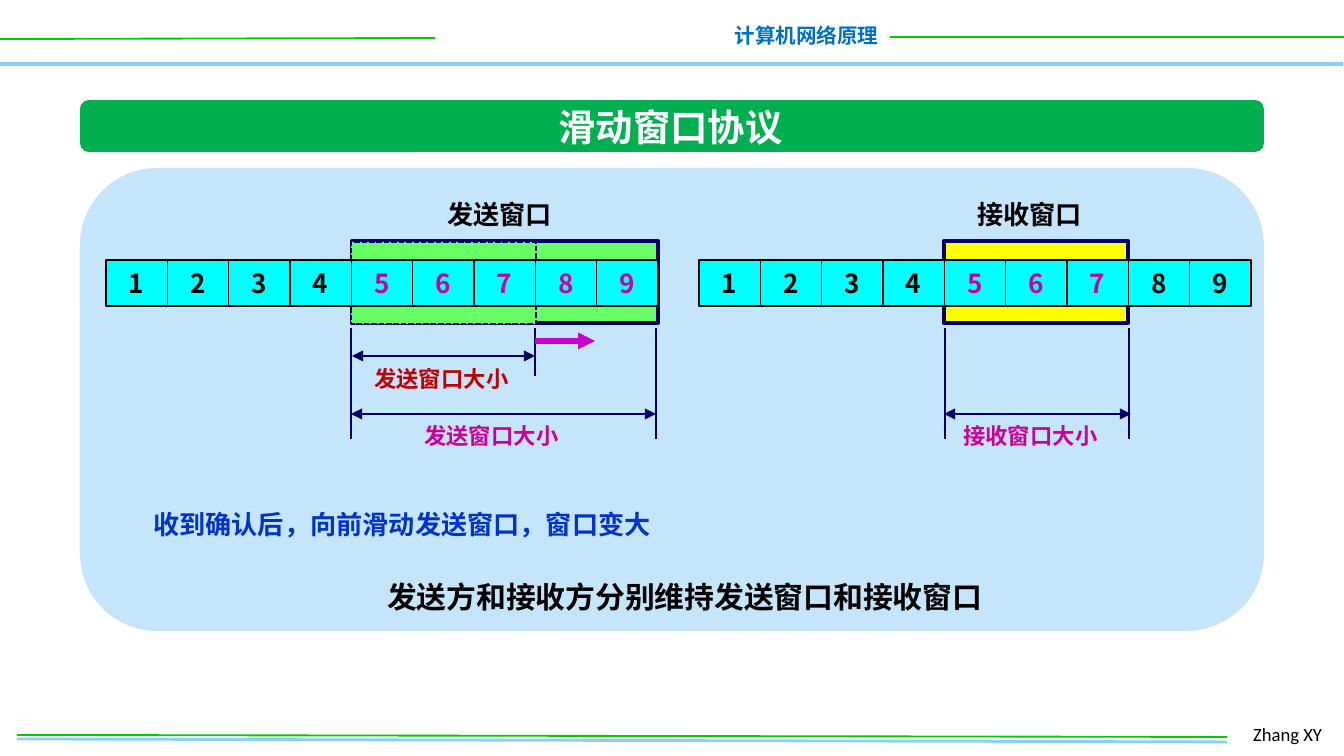
from lxml.etree import SubElement
from pptx import Presentation
from pptx.dml.color import RGBColor
from pptx.enum.dml import MSO_LINE
from pptx.enum.shapes import MSO_CONNECTOR, MSO_SHAPE
from pptx.enum.text import MSO_ANCHOR, PP_ALIGN
from pptx.oxml.ns import qn
from pptx.util import Emu, Pt

EMU_PER_PX = 914400 / 134.4
CJK = "Noto Sans CJK SC"
NAVY, BLACK, MAGENTA = "000066", "000000", "CC0099"
GREEN, SKY = "00CC00", "85D1F7"
STRIP_W, STRIP_H, CELLS = 552, 46, 9
STRIP_Y = 260


def px(n):
    return Emu(round(n * EMU_PER_PX))


def color(hex_string):
    return RGBColor.from_string(hex_string)


def add_box(shapes, x, y, w, h, fill, line=None, width=1, kind=MSO_SHAPE.RECTANGLE):
    s = shapes.add_shape(kind, px(x), px(y), px(w), px(h))
    s.shadow.inherit = False
    s.fill.solid()
    s.fill.fore_color.rgb = color(fill)
    if line:
        s.line.color.rgb = color(line)
        s.line.width = Pt(width)
    else:
        s.line.fill.background()
    return s


def add_line(shapes, x1, y1, x2, y2, stroke, width, arrows=()):
    """Draw a line; arrows may hold 'headEnd' (start) and 'tailEnd' (finish)."""
    s = shapes.add_connector(MSO_CONNECTOR.STRAIGHT, px(x1), px(y1), px(x2), px(y2))
    s.line.color.rgb = color(stroke)
    s.line.width = Pt(width)
    ln = s.line._get_or_add_ln()
    for end in arrows:
        SubElement(ln, qn("a:" + end), type="triangle")
    SubElement(s._element.spPr, qn("a:effectLst"))


def add_text(shapes, x, y, w, h, text, size, fill, align=PP_ALIGN.LEFT,
             font=CJK, bold=True, wrap=False):
    s = shapes.add_textbox(px(x), px(y), px(w), px(h))
    tf = s.text_frame
    tf.word_wrap = wrap
    tf.vertical_anchor = MSO_ANCHOR.MIDDLE
    p = tf.paragraphs[0]
    p.alignment = align
    r = p.add_run()
    r.text = text
    r.font.size = Pt(size)
    r.font.bold = bold
    r.font.color.rgb = color(fill)
    r.font.name = font
    SubElement(r._r.get_or_add_rPr(), qn("a:ea"), typeface=font)


def add_strip(shapes, left, marked):
    """Draw the numbered frames, with those inside the window in magenta."""
    group = shapes.add_group_shape().shapes
    add_box(group, left, STRIP_Y, STRIP_W, STRIP_H, "00FFFF", BLACK, 0.75)
    step = STRIP_W / CELLS
    for i in range(CELLS):
        x = left + i * step
        number = i + 1
        add_text(group, x, STRIP_Y, step, STRIP_H, str(number), 14,
                 MAGENTA if number in marked else BLACK, PP_ALIGN.CENTER)
        if i:
            add_line(group, x, STRIP_Y, x, STRIP_Y + STRIP_H, BLACK, 0.75)


def add_span(shapes, left, right, y):
    add_line(shapes, left, y, right, y, NAVY, 1.5, ("headEnd", "tailEnd"))


def add_frame(shapes):
    add_line(shapes, 0, 64, 1343, 64, SKY, 2)
    add_line(shapes, 0, 39, 435, 38, GREEN, 1)
    add_line(shapes, 890, 37, 1344, 37, GREEN, 1)
    add_line(shapes, 17, 739, 1227, 742, SKY, 1.5)
    add_line(shapes, 17, 735, 1227, 737, GREEN, 1)
    add_text(shapes, 720, 16, 172, 39, "计算机网络原理", 11, "0070C0", PP_ALIGN.RIGHT)
    add_text(shapes, 1240, 716, 100, 36, "Zhang XY", 10, BLACK,
             font="Calibri", bold=False, wrap=True)


def add_panel(shapes):
    title_bar = add_box(shapes, 80, 100, 1184, 52, "00B050",
                        kind=MSO_SHAPE.ROUNDED_RECTANGLE)
    title_bar.adjustments[0] = 0.17
    add_text(shapes, 544, 97, 253, 59, "滑动窗口协议", 20, "FFFFFF", PP_ALIGN.CENTER)
    add_box(shapes, 80, 168, 1184, 463, "C5E5FB", kind=MSO_SHAPE.ROUNDED_RECTANGLE)
    add_text(shapes, 140, 501, 528, 46, "收到确认后，向前滑动发送窗口，窗口变大", 14, "0033CC")
    add_text(shapes, 333, 572, 704, 50, "发送方和接收方分别维持发送窗口和接收窗口", 16,
             BLACK, PP_ALIGN.CENTER, wrap=True)


def add_sender(shapes):
    add_text(shapes, 434, 191, 133, 46, "发送窗口", 14, BLACK)
    add_box(shapes, 352, 241, 306, 82, "66FF66", NAVY, 2.25)
    old_window = add_box(shapes, 351, 242, 185, 82, "66FF66", NAVY, 1)
    old_window.line.dash_style = MSO_LINE.SQUARE_DOT
    add_strip(shapes, 106, range(5, 10))
    for x, bottom in ((351, 439), (535, 376), (656, 439)):
        add_line(shapes, x, 328, x, bottom, NAVY, 1.5)
    add_span(shapes, 352, 535, 356)
    add_span(shapes, 351, 656, 414)
    add_line(shapes, 535, 341, 595, 341, "CC00CC", 3, ("tailEnd",))
    add_text(shapes, 361, 359, 163, 40, "发送窗口大小", 12, "C00000")
    add_text(shapes, 411, 416, 163, 40, "发送窗口大小", 12, MAGENTA)


def add_receiver(shapes):
    add_text(shapes, 964, 191, 133, 46, "接收窗口", 14, BLACK)
    add_box(shapes, 944, 241, 184, 82, "FFFF00", NAVY, 2.25)
    add_strip(shapes, 699, range(5, 8))
    for x in (945, 1129):
        add_line(shapes, x, 328, x, 439, NAVY, 1.5)
    add_span(shapes, 944, 1131, 414)
    add_text(shapes, 950, 416, 163, 40, "接收窗口大小", 12, MAGENTA)


def main():
    prs = Presentation()
    prs.slide_width, prs.slide_height = px(1344), px(756)
    shapes = prs.slides.add_slide(prs.slide_layouts[6]).shapes
    add_frame(shapes)
    add_panel(shapes)
    add_sender(shapes)
    add_receiver(shapes)
    prs.save("out.pptx")


if __name__ == "__main__":
    main()
